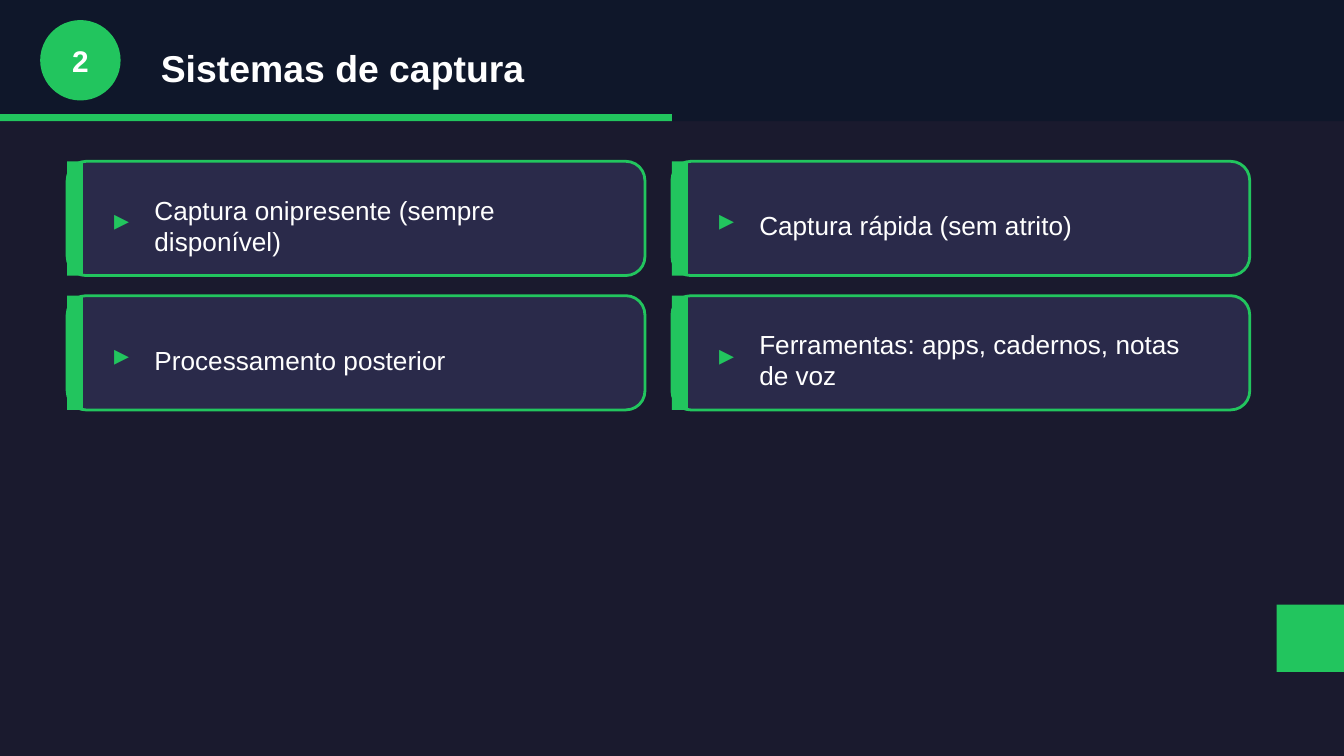
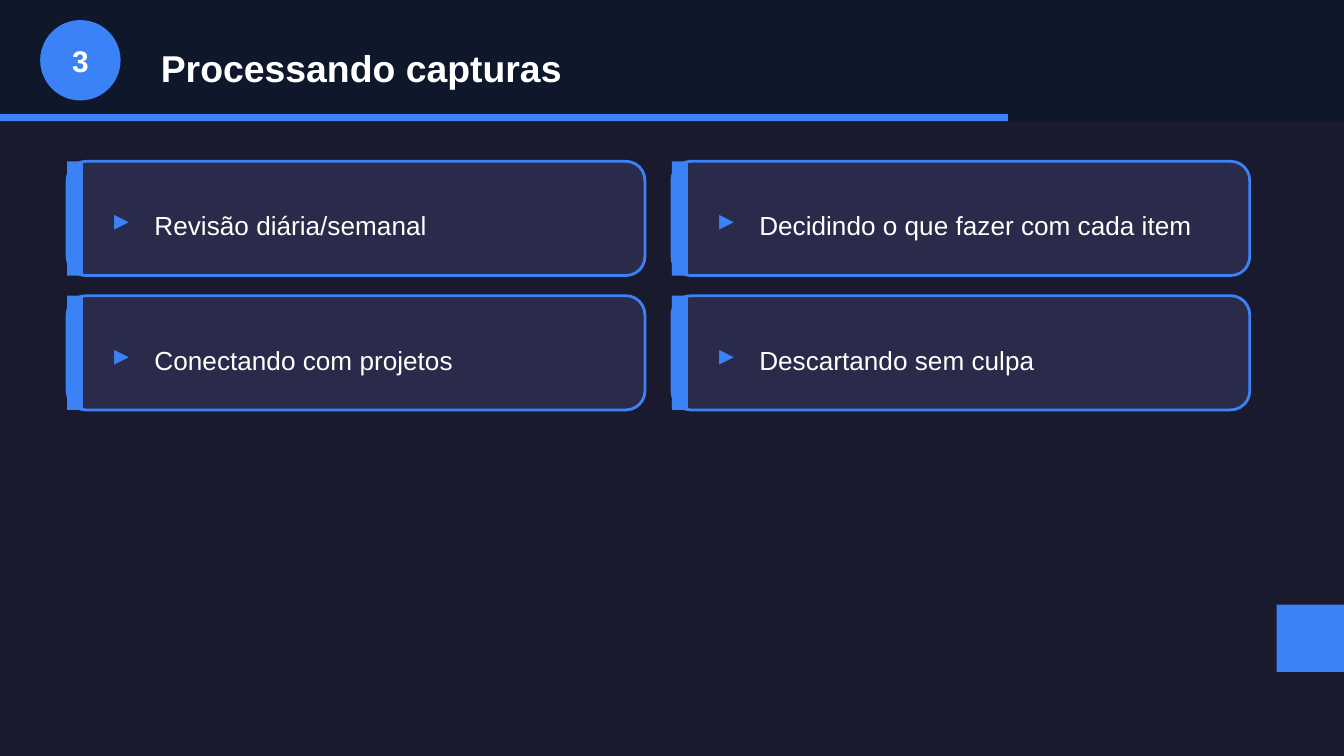
from pptx import Presentation
from pptx.dml.color import RGBColor
from pptx.enum.shapes import MSO_SHAPE as Shape
from pptx.enum.text import MSO_ANCHOR as Anchor, PP_ALIGN as Align
from pptx.util import Cm, Pt

SECTIONS = [
    {
        "number": 2,
        "title": "Sistemas de captura",
        "accent": "22C55E",
        "topics": [
            "Captura onipresente (sempre disponível)",
            "Captura rápida (sem atrito)",
            "Processamento posterior",
            "Ferramentas: apps, cadernos, notas de voz",
        ],
    },
    {
        "number": 3,
        "title": "Processando capturas",
        "accent": "3B82F6",
        "topics": [
            "Revisão diária/semanal",
            "Decidindo o que fazer com cada item",
            "Conectando com projetos",
            "Descartando sem culpa",
        ],
    },
]
SECTION_COUNT = 4

BACKGROUND, HEADER, CARD, WHITE = "1A1A2E", "0F172A", "2A2A4A", "FFFFFF"
FONT = "Arial"

# Lengths in centimetres
SLIDE_W, SLIDE_H = 25.4, 14.29
HEADER_H, PROGRESS_H = 2.29, 0.13
CARD_W, CARD_H = 10.92, 2.16
GRID_LEFT, GRID_TOP = 1.27, 3.05
COLUMN_STEP, ROW_STEP = 11.43, 2.54
COLUMNS = 2
CORNER = 1.27


def rgb(color):
    return RGBColor.from_string(color)


def add_block(slide, kind, left, top, width, height, fill, outline=None):
    block = slide.shapes.add_shape(kind, Cm(left), Cm(top), Cm(width), Cm(height))
    block.shadow.inherit = False
    block.fill.solid()
    block.fill.fore_color.rgb = rgb(fill)
    if outline:
        block.line.color.rgb = rgb(outline)
        block.line.width = Pt(1.5)
    else:
        block.line.fill.background()


def add_label(slide, text, left, top, width, height, size,
              color=WHITE, bold=True, align=Align.LEFT):
    frame = slide.shapes.add_textbox(Cm(left), Cm(top), Cm(width), Cm(height)).text_frame
    frame.word_wrap = True
    frame.vertical_anchor = Anchor.MIDDLE
    paragraph = frame.paragraphs[0]
    paragraph.text = text
    paragraph.alignment = align
    font = paragraph.font
    font.name, font.size, font.bold = FONT, Pt(size), bold
    font.color.rgb = rgb(color)


def add_header(slide, number, title, accent):
    """Draw the band, the progress bar, the numbered badge and the title."""
    add_block(slide, Shape.RECTANGLE, 0, 0, SLIDE_W, HEADER_H, HEADER)
    add_block(slide, Shape.RECTANGLE, 0, HEADER_H - PROGRESS_H,
              SLIDE_W * number / SECTION_COUNT, PROGRESS_H, accent)
    add_block(slide, Shape.OVAL, 0.76, 0.38, 1.52, 1.52, accent)
    add_label(slide, str(number), 0.76, 0.64, 1.52, 1.02, 16, align=Align.CENTER)
    add_label(slide, title, 2.79, 0.64, 21.59, 1.27, 20)


def add_card(slide, topic, left, top, accent):
    add_block(slide, Shape.ROUNDED_RECTANGLE, left, top, CARD_W, CARD_H, CARD, accent)
    add_block(slide, Shape.RECTANGLE, left, top, 0.3, CARD_H, accent)
    add_label(slide, "▸", left + 0.64, top + 0.64, 0.76, 0.89, 16, accent)
    add_label(slide, topic, left + 1.4, top + 0.64, 8.89, 1.14, 14, bold=False)


def add_section(deck, number, title, accent, topics):
    slide = deck.slides.add_slide(deck.slide_layouts[6])
    slide.background.fill.solid()
    slide.background.fill.fore_color.rgb = rgb(BACKGROUND)
    add_header(slide, number, title, accent)
    for index, topic in enumerate(topics):
        row, column = divmod(index, COLUMNS)
        add_card(slide, topic, GRID_LEFT + column * COLUMN_STEP,
                 GRID_TOP + row * ROW_STEP, accent)
    add_block(slide, Shape.RECTANGLE, SLIDE_W - CORNER, 11.43, CORNER, CORNER, accent)


def main():
    deck = Presentation()
    deck.slide_width, deck.slide_height = Cm(SLIDE_W), Cm(SLIDE_H)
    for section in SECTIONS:
        add_section(deck, **section)
    deck.save("out.pptx")


if __name__ == "__main__":
    main()
